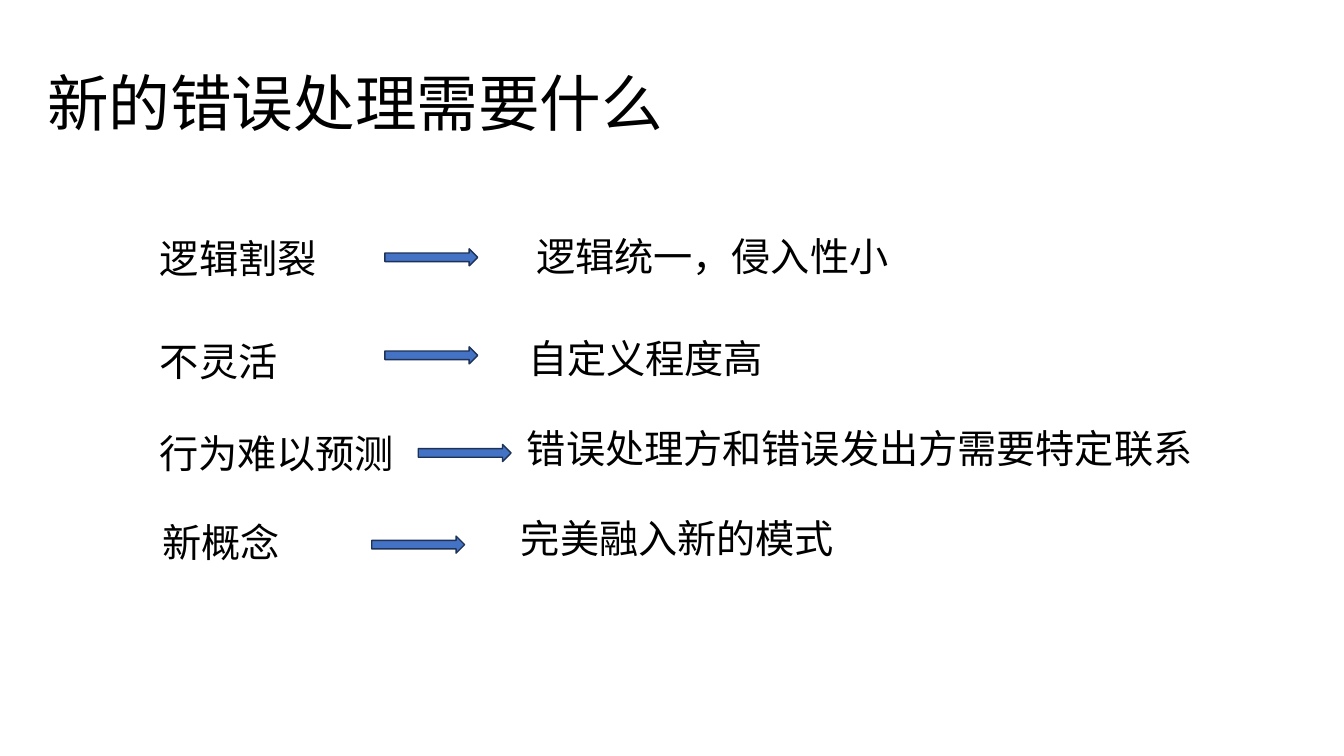
import dataclasses

import pptx
import pptx.dml.color
import pptx.enum.shapes
import pptx.enum.text
import pptx.oxml.ns
import pptx.util
from lxml import etree

Cm = pptx.util.Cm
Pt = pptx.util.Pt
RGB = pptx.dml.color.RGBColor.from_string


@dataclasses.dataclass(frozen=True)
class Theme:
    font: str = "Noto Sans CJK SC"
    text: str = "000000"
    arrow_fill: str = "4472C4"
    arrow_line: str = "1E3256"
    title_size: int = 44
    body_size: int = 28


class SlideBuilder:
    def __init__(self, slide, theme):
        self.s = slide
        self.theme = theme

    def text(self, text, left, top, width, height, size, frame_format, line_spacing=1.0):
        sp = self.s.shapes.add_textbox(Cm(left), Cm(top), Cm(width), Cm(height))
        tf = sp.text_frame
        for name, value in frame_format.items():
            setattr(tf, name, value)
        p = tf.paragraphs[0]
        p.line_spacing = line_spacing
        r = p.add_run()
        r.text = text
        for name, value in {"name": self.theme.font, "size": Pt(size)}.items():
            setattr(r.font, name, value)
        r.font.color.rgb = RGB(self.theme.text)
        # Chinese glyphs take their typeface from a:ea, not from a:latin
        ea = etree.SubElement(r.font._element, pptx.oxml.ns.qn("a:ea"))
        ea.set("typeface", self.theme.font)

    def title(self, text):
        self.text(text, 0.94, 0.84, 29.21, 3.68, self.theme.title_size, {
            "word_wrap": True,
            "vertical_anchor": pptx.enum.text.MSO_ANCHOR.MIDDLE,
        }, line_spacing=0.9)

    def label(self, text, left, top, width):
        self.text(text, left, top, width, 1.45, self.theme.body_size, {
            "word_wrap": True,
            "auto_size": pptx.enum.text.MSO_AUTO_SIZE.SHAPE_TO_FIT_TEXT,
        })

    def arrow(self, left, top):
        sp = self.s.shapes.add_shape(
            pptx.enum.shapes.MSO_SHAPE.RIGHT_ARROW,
            Cm(left), Cm(top), Cm(2.34), Cm(0.43))
        sp.shadow.inherit = False
        sp.fill.solid()
        sp.fill.fore_color.rgb = RGB(self.theme.arrow_fill)
        sp.line.color.rgb = RGB(self.theme.arrow_line)
        sp.line.width = Pt(1)


# Each row: problem (text, left, top, width), arrow (left, top), need (text, left, top, width)
ROWS = [
    (("逻辑割裂", 3.78, 5.79, 4.5), (9.7, 6.27), ("逻辑统一，侵入性小", 13.26, 5.72, 9.5)),
    (("不灵活", 3.78, 8.38, 3.51), (9.7, 8.74), ("自定义程度高", 13.06, 8.31, 6.5)),
    (("行为难以预测", 3.76, 10.69, 7.09), (10.54, 11.2),
     ("错误处理方和错误发出方需要特定联系", 13.03, 10.57, 19.99)),
    (("新概念", 3.84, 12.93, 4.9), (9.37, 13.51), ("完美融入新的模式", 12.88, 12.83, 13.31)),
]


def main():
    prs = pptx.Presentation()
    prs.slide_width, prs.slide_height = Cm(33.87), Cm(19.05)
    builder = SlideBuilder(prs.slides.add_slide(prs.slide_layouts[6]), Theme())
    builder.title("新的错误处理需要什么")
    for problem, arrow, need in ROWS:
        builder.label(*problem)
        builder.arrow(*arrow)
        builder.label(*need)
    prs.save("out.pptx")


if __name__ == "__main__":
    main()
